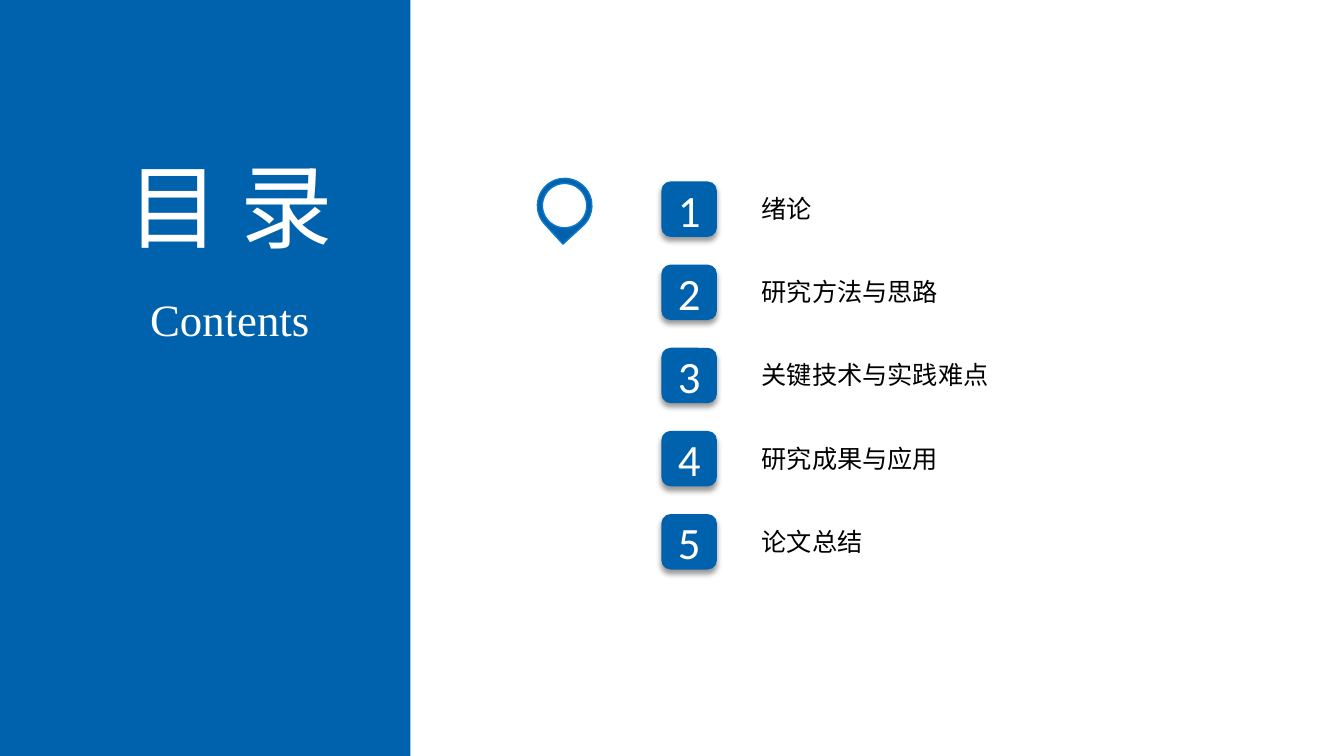
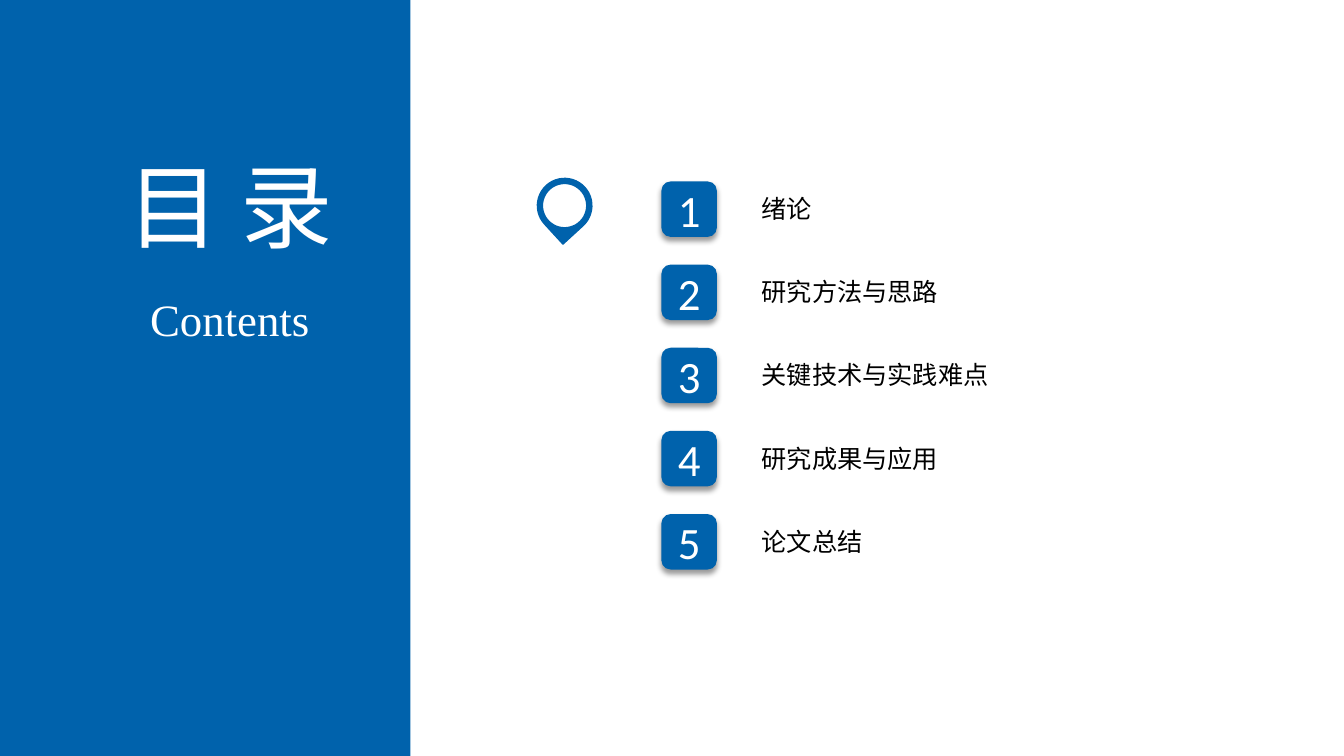
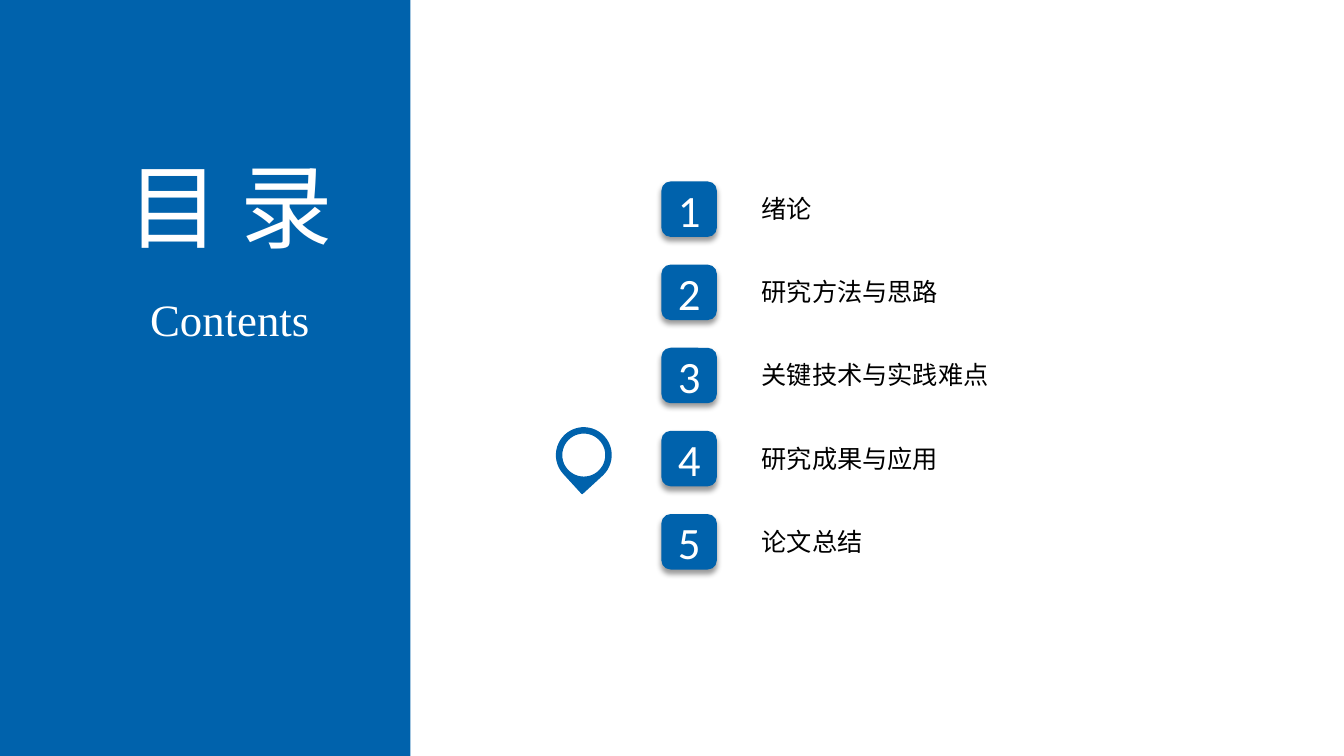
from lxml import etree
from pptx import Presentation
from pptx.dml.color import RGBColor
from pptx.enum.shapes import MSO_SHAPE
from pptx.enum.text import MSO_ANCHOR, MSO_AUTO_SIZE, PP_ALIGN
from pptx.oxml.ns import qn
from pptx.util import Inches, Pt

RECT, ROUND, TEAR, OVAL = (MSO_SHAPE.RECTANGLE, MSO_SHAPE.ROUNDED_RECTANGLE,
                           MSO_SHAPE.TEAR, MSO_SHAPE.OVAL)
CENTER, TOP, MIDDLE = PP_ALIGN.CENTER, MSO_ANCHOR.TOP, MSO_ANCHOR.MIDDLE
FIT = MSO_AUTO_SIZE.SHAPE_TO_FIT_TEXT
BLUE, LIGHT_BLUE, WHITE, BLACK = "0062AC", "0D79CA", "FFFFFF", "000000"
CJK, DIGIT, SERIF = "Noto Sans CJK SC", "Calibri", "Times New Roman"

TITLE, SUBTITLE = "目 录", "Contents"
CHAPTERS = ["绪论", "研究方法与思路", "关键技术与实践难点", "研究成果与应用", "论文总结"]
PINS = [
    {"row": 0, "left": 5.33, "outline": LIGHT_BLUE},
    {"row": 0, "left": 5.33, "outline": BLUE},
    {"row": 3, "left": 5.52, "outline": BLUE},
]
PITCH = 0.825
BADGE_LEFT, BADGE_TOP, BADGE_SIZE = 6.56, 1.8, 0.55
LABEL_LEFT, LABEL_TOP = 7.45, 1.87
PIN_TOP, PIN_SIZE, PIN_RIM = 1.77, 0.54, 0.05


def rgb(value):
    """Turn a hex string into a colour."""
    return RGBColor.from_string(value)


def write(shape, text, size, font, color, anchor=TOP):
    """Set one centred, formatted line of text."""
    tf = shape.text_frame
    tf.text = text
    tf.vertical_anchor = anchor
    p = tf.paragraphs[0]
    p.alignment = CENTER
    r = p.runs[0]
    r.font.size, r.font.name, r.font.bold = Pt(size), font, False
    r.font.color.rgb = rgb(color)
    if font == CJK:
        latin = r.font._element.find(qn("a:latin"))
        ea = etree.Element(qn("a:ea"), typeface=font)
        latin.addnext(ea)


def fit_text(shape):
    """Keep the text on one line and let its box fit it."""
    shape.text_frame.word_wrap = False
    shape.text_frame.auto_size = FIT


def add_text(s, box, text, size, font, color):
    """Add an unwrapped text box."""
    tb = s.shapes.add_textbox(*map(Inches, box))
    write(tb, text, size, font, color)
    fit_text(tb)


def add_filled(shapes, kind, box, fill, outline=None):
    """Add a flat preset shape with an optional outline."""
    sp = shapes.add_shape(kind, *map(Inches, box))
    sp.shadow.inherit = False
    sp.fill.solid()
    sp.fill.fore_color.rgb = rgb(fill)
    if outline:
        sp.line.color.rgb = rgb(outline)
        sp.line.width = Pt(1)
    else:
        sp.line.fill.background()
    return sp


def drop_shadow(sp):
    """Cast a soft shadow straight down."""
    effects = sp.element.spPr.find(qn("a:effectLst"))
    shadow = etree.SubElement(effects, qn("a:outerShdw"), blurRad=str(Pt(4)),
                              dist=str(Pt(3)), dir="5400000", algn="t", rotWithShape="0")
    color = etree.SubElement(shadow, qn("a:srgbClr"), val=BLACK)
    etree.SubElement(color, qn("a:alpha"), val="40000")


def add_side_band(s):
    """Add the blue band with the title and subtitle on it."""
    band = add_filled(s.shapes, RECT, (0, 0, 4.07, 7.5), BLUE)
    title = s.shapes.title
    title.element.addprevious(band.element)
    title.left, title.top, title.width, title.height = map(Inches, (1.02, 1.43, 2.52, 1.21))
    write(title, TITLE, 66, CJK, WHITE)
    fit_text(title)
    add_text(s, (1.38, 2.84, 1.8, 0.64), SUBTITLE, 32, SERIF, WHITE)


def add_chapter(s, row, name):
    """Add one numbered badge and its label."""
    box = (BADGE_LEFT, BADGE_TOP + row * PITCH, BADGE_SIZE, BADGE_SIZE)
    badge = add_filled(s.shapes, ROUND, box, BLUE)
    drop_shadow(badge)
    write(badge, str(row + 1), 32, DIGIT, WHITE, MIDDLE)
    width = 0.21 + 0.25 * len(name)
    add_text(s, (LABEL_LEFT, LABEL_TOP + row * PITCH, width, 0.4), name, 18, CJK, BLACK)


def add_pin(s, row, left, outline):
    """Add the grouped map pin beside the current chapter."""
    top = PIN_TOP + row * PITCH
    shapes = s.shapes.add_group_shape().shapes
    drop = add_filled(shapes, TEAR, (left, top, PIN_SIZE, PIN_SIZE), BLUE, outline)
    drop.rotation = 137.5
    hole = PIN_SIZE - 2 * PIN_RIM
    add_filled(shapes, OVAL, (left + PIN_RIM, top + PIN_RIM, hole, hole), WHITE, outline)


def main():
    """Build the contents slides."""
    prs = Presentation()
    prs.slide_width, prs.slide_height = Inches(13.33), Inches(7.5)
    for pin in PINS:
        s = prs.slides.add_slide(prs.slide_layouts[5])
        add_side_band(s)
        for row, name in enumerate(CHAPTERS):
            add_chapter(s, row, name)
        add_pin(s, **pin)
    prs.save("out.pptx")


if __name__ == "__main__":
    main()
